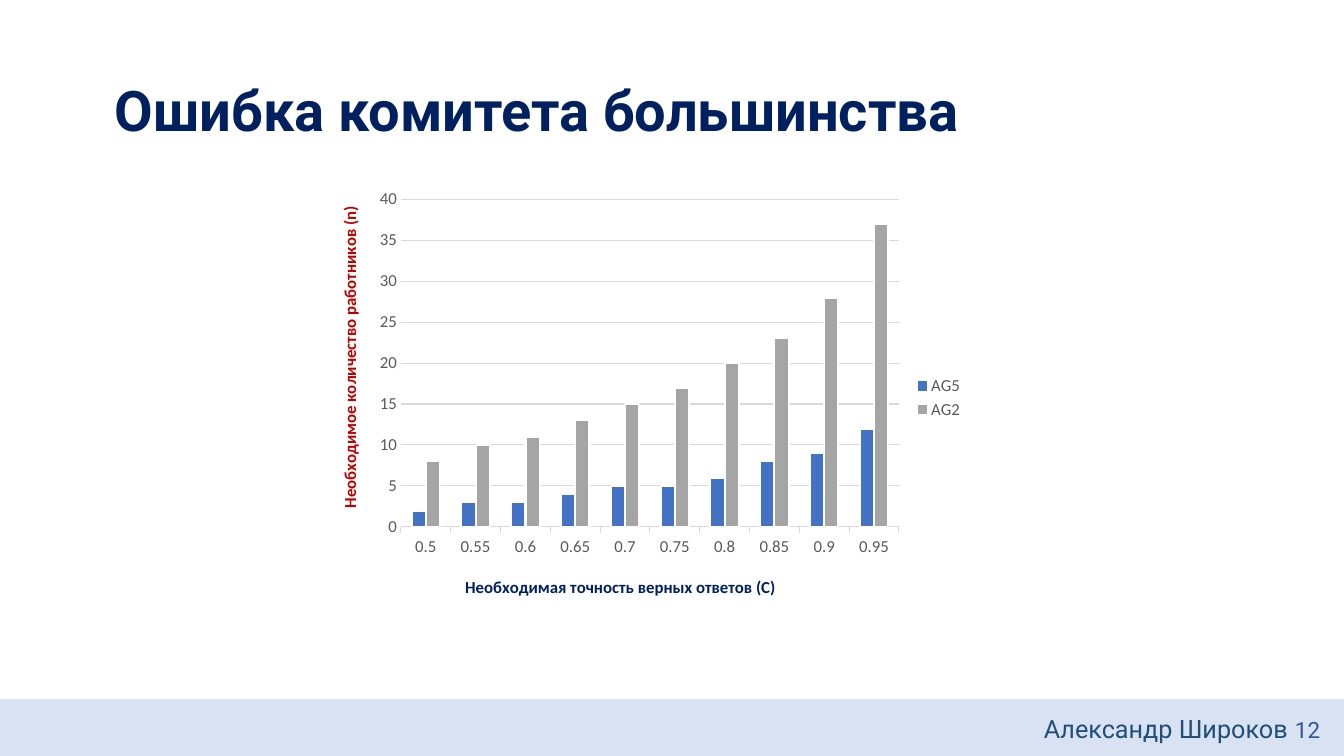
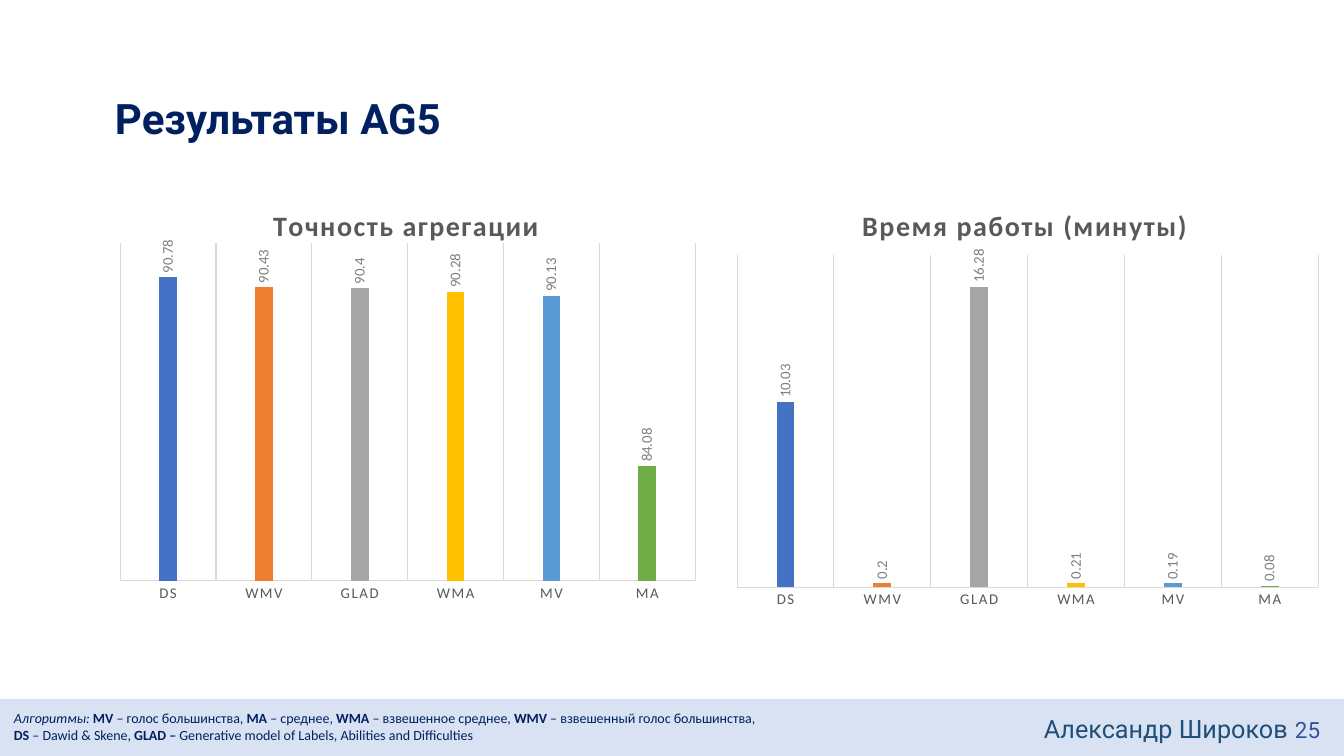
from lxml import etree
from pptx import Presentation
from pptx.chart.data import CategoryChartData
from pptx.dml.color import RGBColor
from pptx.enum.chart import XL_CHART_TYPE, XL_LABEL_POSITION, XL_LEGEND_POSITION, XL_TICK_MARK
from pptx.enum.shapes import MSO_SHAPE
from pptx.enum.text import MSO_ANCHOR, PP_ALIGN
from pptx.oxml.ns import qn
from pptx.util import Pt

COLUMNS = XL_CHART_TYPE.COLUMN_CLUSTERED
OUTSIDE_END = XL_LABEL_POSITION.OUTSIDE_END
LEGEND_RIGHT = XL_LEGEND_POSITION.RIGHT
TICK_NONE, TICK_OUT = XL_TICK_MARK.NONE, XL_TICK_MARK.OUTSIDE
RECTANGLE = MSO_SHAPE.RECTANGLE
TOP, MIDDLE, BOTTOM = MSO_ANCHOR.TOP, MSO_ANCHOR.MIDDLE, MSO_ANCHOR.BOTTOM
LEFT, RIGHT = PP_ALIGN.LEFT, PP_ALIGN.RIGHT

SCALE = 914400 / 100.8
WIDTH, HEIGHT = 1344, 756
HEADING_FONT, BODY_FONT = "Roboto", "Calibri"
COLORS = {
    "navy": "002060", "band": "B4C7E7", "author": "1F4E79", "number": "2F5597",
    "red": "C00000", "text": "595959", "label": "808080", "grid": "D9D9D9",
    "white": "FFFFFF", "blue": "4472C4", "orange": "ED7D31", "gray": "A5A5A5",
    "gold": "FFC000", "sky": "5B9BD5", "green": "70AD47",
}
ALGORITHM_COLORS = ["blue", "orange", "gray", "gold", "sky", "green"]
ALGORITHMS = ["DS", "WMV", "GLAD", "WMA", "MV", "MA"]
AUTHOR = "Александр Широков"


def px(value):
    return round(value * SCALE)


def color(name):
    return RGBColor.from_string(COLORS[name])


def set_font(font, size, color_name, name=BODY_FONT, bold=False):
    font.size = Pt(size)
    font.name = name
    font.bold = bold
    font.color.rgb = color(color_name)


def fill_solid(format_, color_name):
    format_.fill.solid()
    format_.fill.fore_color.rgb = color(color_name)


def set_line(line, color_name, width):
    line.color.rgb = color(color_name)
    line.width = Pt(width)


def add_text(slide, box, paragraphs, size, color_name, name=HEADING_FONT,
             bold=False, anchor=TOP, align=LEFT, spacing=1.0):
    frame = slide.shapes.add_textbox(*map(px, box)).text_frame
    frame.word_wrap = True
    frame.vertical_anchor = anchor
    for index, runs in enumerate(paragraphs):
        paragraph = frame.add_paragraph() if index else frame.paragraphs[0]
        paragraph.alignment = align
        paragraph.line_spacing = spacing
        set_font(paragraph.font, size, color_name, name, bold)
        for text, style in runs:
            run = paragraph.add_run()
            run.text = text
            if style == "bold":
                run.font.bold = True
            elif style == "italic":
                run.font.italic = True


def add_band(slide):
    band = slide.shapes.add_shape(RECTANGLE, 0, px(699), px(WIDTH), px(HEIGHT - 699))
    band.shadow.inherit = False
    fill_solid(band, "band")
    band.line.fill.background()
    color_element = band._element.spPr.find(qn("a:solidFill"))[0]
    etree.SubElement(color_element, qn("a:alpha")).set("val", "50000")


def add_base_slide(presentation, title, title_size, number):
    slide = presentation.slides.add_slide(presentation.slide_layouts[6])
    add_text(slide, (105, 58, 1239, 91), [[(title, "")]], title_size, "navy",
             bold=True, anchor=BOTTOM, spacing=0.9)
    add_band(slide)
    add_text(slide, (1034, 708, 264, 40), [[(AUTHOR, "")]], 18, "author")
    add_text(slide, (1274, 708, 56, 44), [[(number, "")]], 16, "number",
             anchor=MIDDLE, align=RIGHT)
    return slide


def set_layout(parent, position, chart_box, place):
    layout = parent.find(qn("c:layout"))
    if layout is not None:
        parent.remove(layout)
    layout = etree.Element(qn("c:layout"))
    parent.insert(position, layout)
    left, top, width, height = chart_box
    values = [("x", (place[0] - left) / width), ("y", (place[1] - top) / height)]
    manual = etree.SubElement(layout, qn("c:manualLayout"))
    if len(place) == 4:
        values += [("w", place[2] / width), ("h", place[3] / height)]
        etree.SubElement(manual, qn("c:layoutTarget")).set("val", "inner")
    for key in ("x", "y"):
        etree.SubElement(manual, qn(f"c:{key}Mode")).set("val", "edge")
    for key, value in values:
        etree.SubElement(manual, qn(f"c:{key}")).set("val", f"{value:.3f}")


def set_title(title, text, size, color_name, chart_box, place, letter_spacing=0):
    frame = title.text_frame
    frame.text = text
    font = frame.paragraphs[0].font
    set_font(font, size, color_name, bold=True)
    font._element.set("spc", str(letter_spacing))
    set_layout(title._element, 1, chart_box, place)


def add_columns(slide, box, categories, series, plot_box, axis_range, gap):
    data = CategoryChartData()
    data.categories = categories
    for name, values in series:
        data.add_series(name, values)
    chart = slide.shapes.add_chart(COLUMNS, *map(px, box), data).chart
    set_font(chart.font, 10, "text")
    chart.has_legend = False
    chart.has_title = False
    chart.plots[0].vary_by_categories = False
    chart.plots[0].gap_width = gap
    value_axis = chart.value_axis
    value_axis.minimum_scale, value_axis.maximum_scale, value_axis.major_unit = axis_range
    value_axis.major_tick_mark = TICK_NONE
    set_line(chart.category_axis.format.line, "grid", 0.75)
    set_layout(chart._chartSpace.chart.plotArea, 0, box, plot_box)
    return chart


def add_workers_chart(slide):
    box = (310, 180, 664, 436)
    categories = ["0.5", "0.55", "0.6", "0.65", "0.7", "0.75", "0.8", "0.85", "0.9", "0.95"]
    series = [("AG5", [2, 3, 3, 4, 5, 5, 6, 8, 9, 12]),
              ("AG2", [8, 10, 11, 13, 15, 17, 20, 23, 28, 37])]
    chart = add_columns(slide, box, categories, series, (401, 199, 498, 328), (0, 40, 5), 150)
    chart.plots[0].overlap = 0
    for columns, name in zip(chart.plots[0].series, ("blue", "gray")):
        fill_solid(columns.format, name)
        set_line(columns.format.line, "white", 1.5)
    category_axis, value_axis = chart.category_axis, chart.value_axis
    category_axis.major_tick_mark = TICK_OUT
    value_axis.format.line.fill.background()
    set_line(value_axis.major_gridlines.format.line, "grid", 0.75)
    for axis in (category_axis, value_axis):
        set_font(axis.tick_labels.font, 12, "text")
    set_title(category_axis.axis_title, "Необходимая точность верных ответов (С)",
              12, "navy", box, (462, 573))
    set_title(value_axis.axis_title, "Необходимое количество работников (n)",
              12, "red", box, (335, 203))
    value_axis.axis_title.text_frame._txBody.bodyPr.set("rot", "-5400000")
    chart.has_legend = True
    chart.legend.position = LEGEND_RIGHT
    chart.legend.include_in_layout = False
    set_font(chart.legend.font, 12, "text")


def add_algorithm_chart(slide, left, title, title_left, values, plot_box, axis_range):
    box = (left, 177, 606, 441)
    chart = add_columns(slide, box, ALGORITHMS, [("Series 1", values)],
                        plot_box, axis_range, 444)
    chart.has_title = True
    set_title(chart.chart_title, title, 20, "text", box, (title_left, 201), 100)
    plot = chart.plots[0]
    plot.overlap = -90
    for index, name in enumerate(ALGORITHM_COLORS):
        fill_solid(plot.series[0].points[index].format, name)
    chart.value_axis.has_major_gridlines = False
    chart.value_axis.visible = False
    axis = chart.category_axis
    axis.major_tick_mark = TICK_NONE
    axis.has_major_gridlines = True
    set_line(axis.major_gridlines.format.line, "grid", 0.75)
    set_font(axis.tick_labels.font, 10.6, "text")
    axis.tick_labels.font._element.set("spc", "120")
    labels = plot.series[0].data_labels
    labels.show_value = True
    labels.position = OUTSIDE_END
    set_font(labels.font, 10.6, "label")
    body = labels._element.find(qn("c:txPr")).find(qn("a:bodyPr"))
    body.set("rot", "-5400000")
    body.set("vert", "horz")


def add_algorithm_notes(slide):
    notes = [
        [("Алгоритмы: ", "italic"), ("MV", "bold"), (" – голос большинства, ", ""),
         ("MA", "bold"), (" – среднее, ", ""), ("WMA ", "bold"),
         ("– взвешенное среднее, ", ""), ("WMV", "bold"),
         (" – взвешенный голос большинства, ", "")],
        [("DS", "bold"), (" – Dawid & Skene, ", ""), ("GLAD – ", "bold"),
         ("Generative model of Labels, Abilities and Difficulties", "")],
    ]
    add_text(slide, (4, 705, 1239, 44), notes, 10, "navy", BODY_FONT)


def main():
    presentation = Presentation()
    presentation.slide_width = px(WIDTH)
    presentation.slide_height = px(HEIGHT)

    slide = add_base_slide(presentation, "Ошибка комитета большинства", 40, "12")
    add_workers_chart(slide)

    slide = add_base_slide(presentation, "Результаты AG5", 30, "25")
    add_algorithm_chart(slide, 105, "Точность агрегации", 268,
                        [90.78, 90.43, 90.4, 90.28, 90.13, 84.08],
                        (120, 243, 575, 338), (80, 92, 2))
    add_algorithm_chart(slide, 725, "Время работы (минуты)", 857,
                        [10.03, 0.2, 16.28, 0.21, 0.19, 0.08],
                        (737, 255, 581, 332), (0, 18, 2))
    add_algorithm_notes(slide)

    presentation.save("out.pptx")


main()
